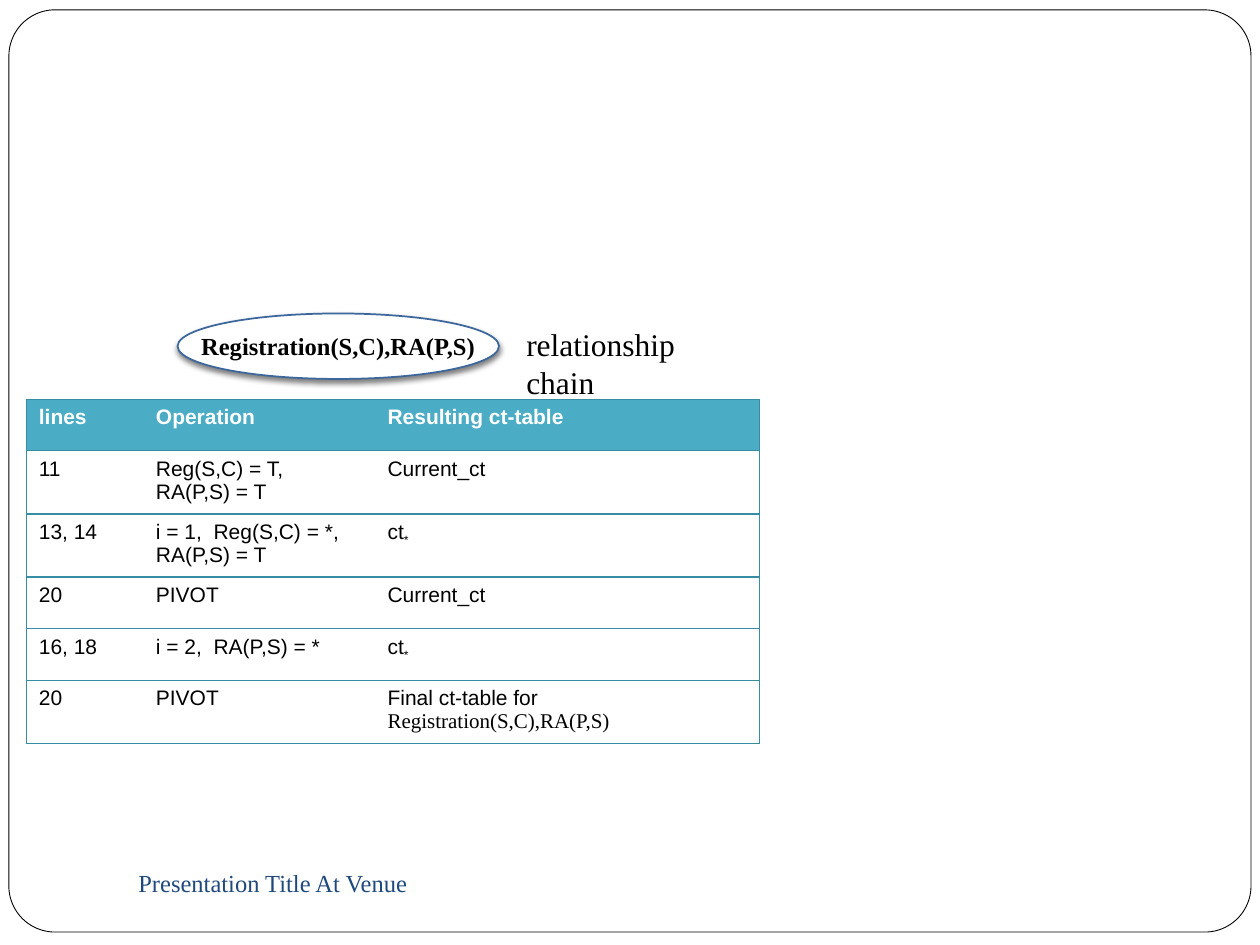
"""Build a slide tracing the ct-table operations for one relationship chain."""
from dataclasses import dataclass

from lxml import etree
from pptx import Presentation
from pptx import util as u
from pptx.dml.color import RGBColor
from pptx.enum import shapes, text
from pptx.oxml.ns import qn


@dataclass(frozen=True)
class Theme:
    serif: str = "Times New Roman"
    sans: str = "Arial"
    black: str = "000000"
    white: str = "FFFFFF"
    footer: str = "1F497D"
    outline: str = "3B679C"
    header: str = "4BACC6"
    border: str = "378DA3"
    small: int = 12
    medium: int = 14
    large: int = 18


THEME = Theme()
CHAIN = "Registration(S,C),RA(P,S)"
FOOTER = "Presentation Title At Venue"
LABEL = "relationship chain"
HEADINGS = ("lines", "Operation", "Resulting ct-table")
STEPS = [
    ("11", "Reg(S,C) = T, RA(P,S) = T", "Current_ct"),
    ("13, 14", "i = 1,  Reg(S,C) = *, RA(P,S) = T", ("ct", "*")),
    ("20", "PIVOT", "Current_ct"),
    ("16, 18", "i = 2,  RA(P,S) = *", ("ct", "*")),
    ("20", "PIVOT", ("Final ct-table for ", CHAIN)),
]
COLUMNS = (2.36, 4.67, 7.75)
ROW, LAST_ROW = 1.04, 1.12
FRAME_AT = (0.18, 0.2, 25.04, 18.59)
FOOTER_AT = (2.54, 17.15, 11, 1.27)
CHAIN_AT = (3.58, 6.32, 6.48, 1.32)
LABEL_AT = (10.36, 6.43, 4.95, 1.02)
TABLE_AT = (0.53, 8.05)


def color(value):
    return RGBColor.from_string(value)


def add_span(para, words, size, font, ink, bold=False):
    span = para.add_run()
    span.text = words
    span.font.size = u.Pt(size)
    span.font.name = font
    span.font.bold = bold
    span.font.color.rgb = color(ink)
    return span


def add_text(page, place, words, size, ink, anchor):
    box = page.shapes.add_textbox(*map(u.Cm, place))
    box.text_frame.word_wrap = True
    box.text_frame.vertical_anchor = anchor
    add_span(box.text_frame.paragraphs[0], words, size, THEME.serif, ink)


def add_outline(page, kind, place, ink, width):
    shape = page.shapes.add_shape(kind, *map(u.Cm, place))
    shape.shadow.inherit = False
    shape.fill.solid()
    shape.fill.fore_color.rgb = color(THEME.white)
    shape.line.color.rgb = color(ink)
    shape.line.width = u.Pt(width)
    return shape


def add_shadow(shape):
    effects = shape.element.spPr.find(qn("a:effectLst"))
    shadow = etree.SubElement(
        effects, qn("a:outerShdw"), blurRad=str(u.Pt(3)), dist=str(u.Pt(2)),
        dir="5400000", rotWithShape="0")
    tint = etree.SubElement(shadow, qn("a:srgbClr"), val=THEME.black)
    etree.SubElement(tint, qn("a:alpha"), val="50000")


def add_chain(page):
    oval = add_outline(page, shapes.MSO_SHAPE.OVAL, CHAIN_AT, THEME.outline, 1)
    add_shadow(oval)
    frame = oval.text_frame
    frame.margin_left = frame.margin_right = 0
    frame.margin_top = frame.margin_bottom = 0
    frame.word_wrap = False
    frame.vertical_anchor = text.MSO_ANCHOR.MIDDLE
    para = frame.paragraphs[0]
    para.alignment = text.PP_ALIGN.CENTER
    add_span(para, CHAIN, THEME.medium, THEME.serif, THEME.black, True)


def set_borders(cell, visible):
    properties = cell._tc.get_or_add_tcPr()
    for side in "LRTB":
        line = etree.SubElement(properties, qn(f"a:ln{side}"), w=str(u.Pt(0.75)))
        if side in visible:
            fill = etree.SubElement(line, qn("a:solidFill"))
            etree.SubElement(fill, qn("a:srgbClr"), val=THEME.border)
        else:
            etree.SubElement(line, qn("a:noFill"))


def fill_cell(cell, content, heading):
    cell.fill.solid()
    cell.fill.fore_color.rgb = color(THEME.header if heading else THEME.white)
    ink = THEME.white if heading else THEME.black
    parts = (content,) if isinstance(content, str) else content
    for words in parts:
        font = THEME.serif if words == CHAIN else THEME.sans
        span = add_span(cell.text_frame.paragraphs[0], words, THEME.small,
                        font, ink, heading)
        if words == "*":
            span.font._element.set("baseline", "-25000")


def add_steps(page):
    rows = [HEADINGS, *STEPS]
    heights = [ROW] * len(STEPS) + [LAST_ROW]
    size = (sum(COLUMNS), sum(heights))
    table = page.shapes.add_table(
        len(rows), len(COLUMNS), *map(u.Cm, TABLE_AT + size)).table
    table.first_row = table.horz_banding = False
    for column, width in zip(table.columns, COLUMNS):
        column.width = u.Cm(width)
    for index, (row, height, contents) in enumerate(zip(table.rows, heights, rows)):
        row.height = u.Cm(height)
        for cell, content, outer in zip(row.cells, contents, ("L", "", "R")):
            set_borders(cell, "TB" + outer)
            fill_cell(cell, content, index == 0)


def main():
    deck = Presentation()
    deck.slide_width, deck.slide_height = u.Cm(25.4), u.Cm(19.05)
    page = deck.slides.add_slide(deck.slide_layouts[6])
    frame = add_outline(page, shapes.MSO_SHAPE.ROUNDED_RECTANGLE, FRAME_AT,
                        THEME.black, 0.5)
    frame.adjustments[0] = 0.05
    add_text(page, FOOTER_AT, FOOTER, THEME.medium, THEME.footer,
             text.MSO_ANCHOR.MIDDLE)
    add_chain(page)
    add_steps(page)
    add_text(page, LABEL_AT, LABEL, THEME.large, THEME.black,
             text.MSO_ANCHOR.TOP)
    deck.save("out.pptx")


if __name__ == "__main__":
    main()
